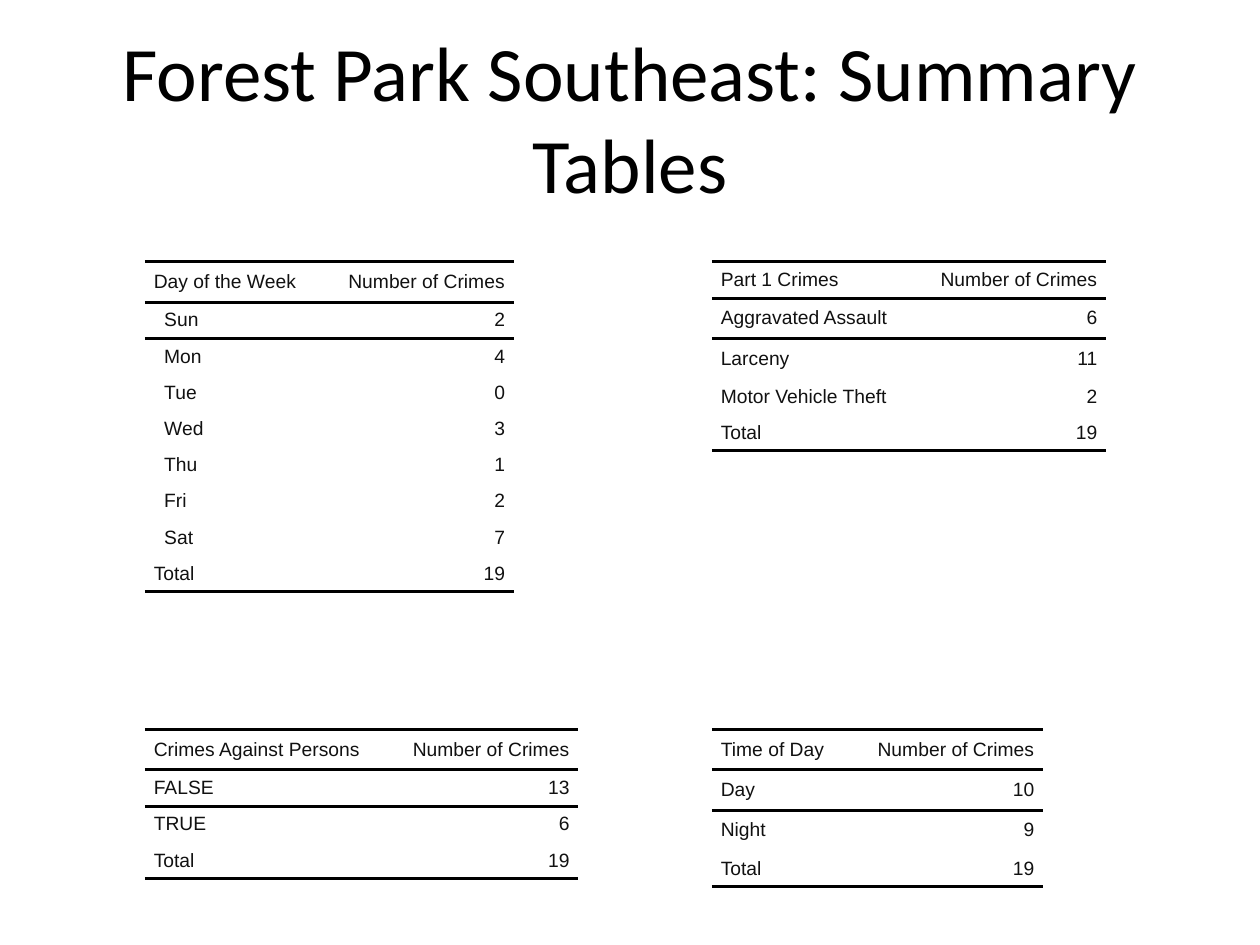
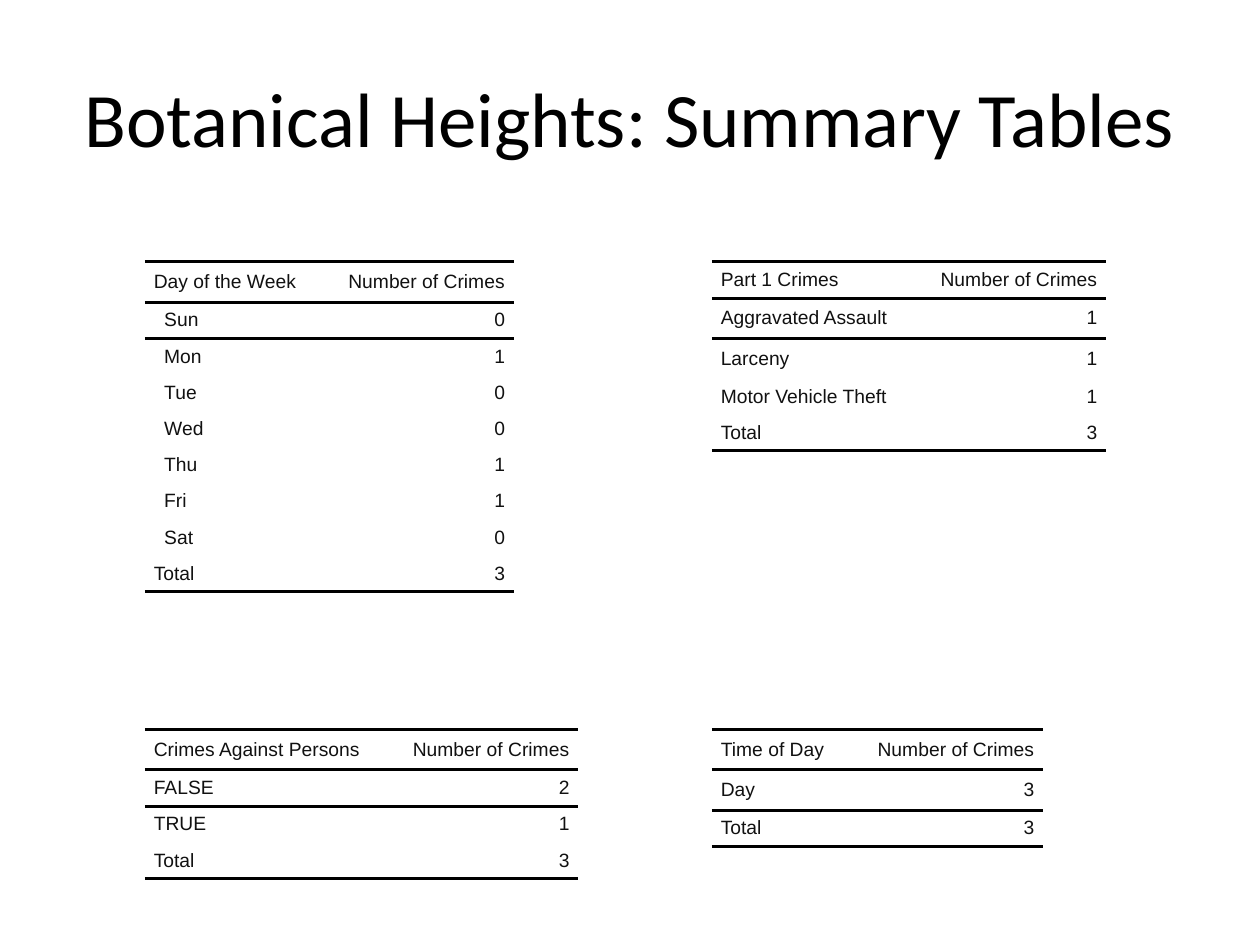
from lxml.etree import SubElement
from pptx import Presentation
from pptx.dml.color import RGBColor
from pptx.enum.text import MSO_ANCHOR, MSO_AUTO_SIZE, PP_ALIGN
from pptx.oxml.ns import qn
from pptx.util import Cm, Pt

COLORS = {"title": "000000", "rule": "000000", "cell": "111111"}
TITLE_FONT, CELL_FONT = "Calibri", "Arial"
LEFT_COLUMN, RIGHT_COLUMN = Cm(2.92), Cm(14.35)
UPPER_ROW, LOWER_ROW = Cm(5.28), Cm(14.71)
COUNT_WIDTH = Cm(3.86)
TALL, SHORT = Cm(0.81), Cm(0.73)
CELL_INDENT, DAY_INDENT = Cm(0.18), Cm(0.39)
PLAIN_STYLE = "{2D5ABB26-0587-4C30-8999-92F81FD0307C}"
DAYS = ["Sun", "Mon", "Tue", "Wed", "Thu", "Fri", "Sat"]

SUMMARIES = {
    "Part 1 Crimes": {
        "at": (RIGHT_COLUMN, UPPER_ROW),
        "label_width": Cm(4.09),
        "tall": ["Aggravated Assault", "Larceny"],
    },
    "Day of the Week": {
        "at": (LEFT_COLUMN, UPPER_ROW),
        "label_width": Cm(3.58),
        "tall": ["Day of the Week"],
    },
    "Crimes Against Persons": {
        "at": (LEFT_COLUMN, LOWER_ROW),
        "label_width": Cm(4.88),
        "tall": ["Crimes Against Persons"],
    },
    "Time of Day": {
        "at": (RIGHT_COLUMN, LOWER_ROW),
        "label_width": Cm(2.82),
        "tall": ["Time of Day", "Day", "Night"],
    },
}

NEIGHBORHOODS = {
    "Forest Park Southeast": {
        "Part 1 Crimes": {"Aggravated Assault": 6, "Larceny": 11, "Motor Vehicle Theft": 2},
        "Day of the Week": dict(zip(DAYS, [2, 4, 0, 3, 1, 2, 7])),
        "Crimes Against Persons": {"FALSE": 13, "TRUE": 6},
        "Time of Day": {"Day": 10, "Night": 9},
    },
    "Botanical Heights": {
        "Part 1 Crimes": {"Aggravated Assault": 1, "Larceny": 1, "Motor Vehicle Theft": 1},
        "Day of the Week": dict(zip(DAYS, [0, 1, 0, 0, 1, 1, 0])),
        "Crimes Against Persons": {"FALSE": 2, "TRUE": 1},
        "Time of Day": {"Day": 3},
    },
}


def style_font(font, name, size, color):
    font.name = name
    font.size = Pt(size)
    font.color.rgb = RGBColor.from_string(COLORS[color])


def add_title(slide, text):
    title = slide.shapes.title
    title.left, title.top, title.width, title.height = Cm(1.27), Cm(0.76), Cm(22.86), Cm(3.18)
    frame = title.text_frame
    frame.text = text
    frame.auto_size = MSO_AUTO_SIZE.NONE
    frame.vertical_anchor = MSO_ANCHOR.MIDDLE
    heading = frame.paragraphs[0]
    heading.alignment = PP_ALIGN.CENTER
    style_font(heading.font, TITLE_FONT, 44, "title")


def add_rule(cell, edge):
    rule = SubElement(cell._tc.get_or_add_tcPr(), qn(f"a:{edge}"), w=str(Pt(2)))
    fill = SubElement(rule, qn("a:solidFill"))
    SubElement(fill, qn("a:srgbClr"), val=COLORS["rule"])


def fill_cell(cell, text, alignment, indent, edges):
    for edge in edges:
        add_rule(cell, edge)
    cell.fill.background()
    cell.margin_left = cell.margin_right = cell.margin_top = cell.margin_bottom = 0
    cell.vertical_anchor = MSO_ANCHOR.MIDDLE
    cell.text = text
    entry = cell.text_frame.paragraphs[0]
    entry.alignment = alignment
    entry.space_before = entry.space_after = Pt(2)
    properties = entry._p.get_or_add_pPr()
    properties.set("marL", str(indent))
    properties.set("marR", str(CELL_INDENT))
    properties.set("indent", "0")
    style_font(entry.font, CELL_FONT, 11, "cell")


def rule_edges(row, last_row):
    if row == 0:
        return ["lnT", "lnB"]
    if row == 1:
        return ["lnT"]
    return ["lnB"] if row == last_row else []


def add_summary(slide, heading, counts):
    summary = SUMMARIES[heading]
    entries = [(heading, "Number of Crimes"), *counts.items(), ("Total", sum(counts.values()))]
    heights = [TALL if label in summary["tall"] else SHORT for label, _ in entries]
    widths = [summary["label_width"], COUNT_WIDTH]
    table = slide.shapes.add_table(
        len(entries), 2, *summary["at"], sum(widths), sum(heights)
    ).table
    table._tbl.tblPr.find(qn("a:tableStyleId")).text = PLAIN_STYLE
    table.first_row = table.horz_banding = False
    for column, width in zip(table.columns, widths):
        column.width = width
    for row, (label, count) in enumerate(entries):
        table.rows[row].height = heights[row]
        edges = rule_edges(row, len(entries) - 1)
        label_indent = DAY_INDENT if label in DAYS else CELL_INDENT
        fill_cell(table.cell(row, 0), label, PP_ALIGN.LEFT, label_indent, edges)
        fill_cell(table.cell(row, 1), str(count), PP_ALIGN.RIGHT, CELL_INDENT, edges)


def main():
    deck = Presentation()
    deck.slide_width, deck.slide_height = Cm(25.4), Cm(19.05)
    title_only = deck.slide_layouts.get_by_name("Title Only")
    for neighborhood, summaries in NEIGHBORHOODS.items():
        slide = deck.slides.add_slide(title_only)
        add_title(slide, f"{neighborhood}: Summary Tables")
        for heading, counts in summaries.items():
            add_summary(slide, heading, counts)
    deck.save("out.pptx")


if __name__ == "__main__":
    main()
